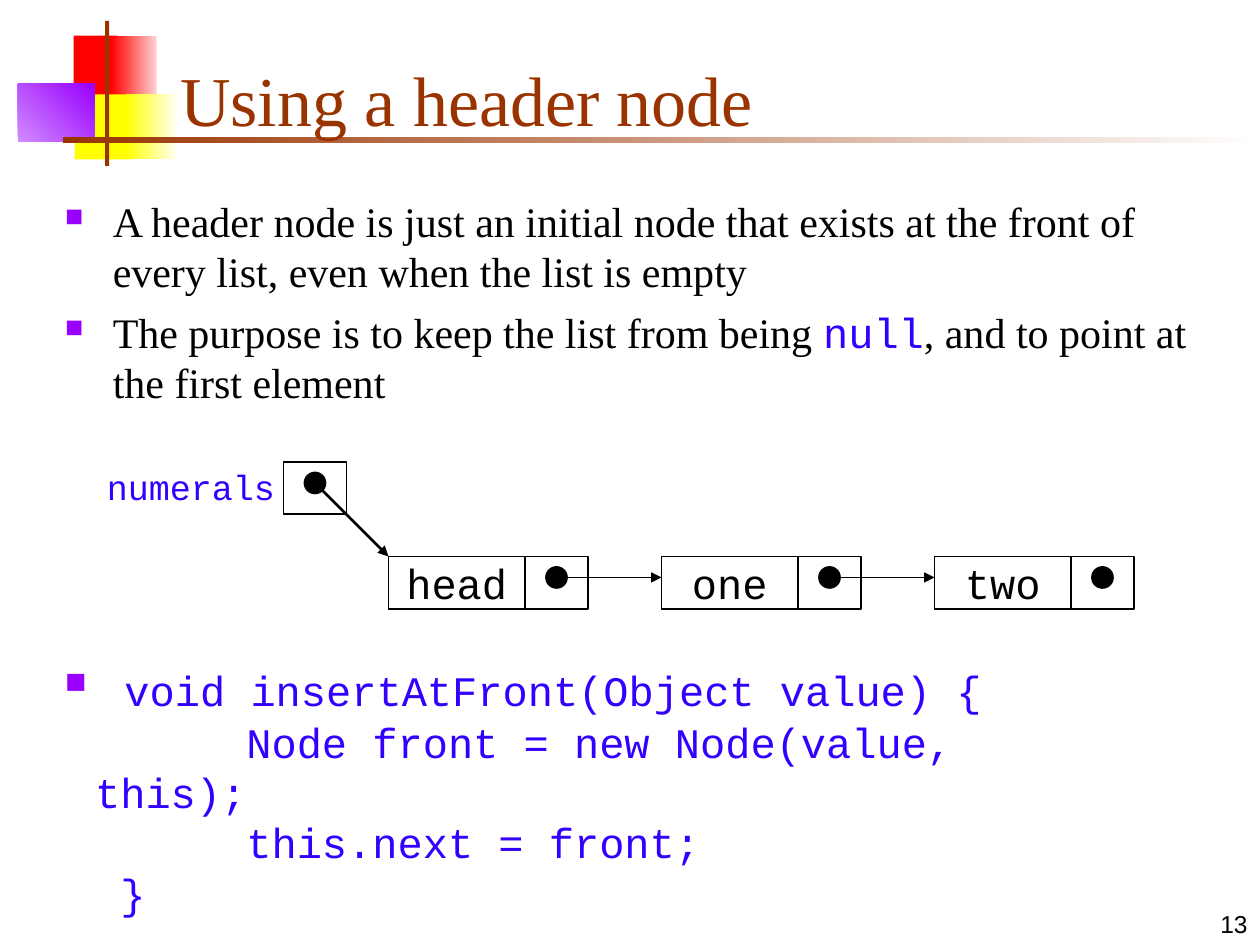
from lxml import etree
from pptx import Presentation, util as u
from pptx.dml.color import RGBColor
from pptx.enum import shapes, text
from pptx.oxml import ns

rgb = RGBColor.from_string
SERIF, MONO = "Times New Roman", "Courier New"
BLACK, BROWN, BLUE, PURPLE = "000000", "993300", "3300FF", "9900FF"

prs = Presentation()
prs.slide_width, prs.slide_height = u.Inches(10), u.Inches(7.5)
s = prs.slides.add_slide(prs.slide_layouts[6])
COL, ROW = prs.slide_width / 120, prs.slide_height / 90


def add_box(kind, x, y, w, h, fill=None, line=None):
    area = int(x * COL), int(y * ROW), int(w * COL), int(h * ROW)
    if kind is None:
        sp = s.shapes.add_textbox(*area)
        sp.text_frame.word_wrap = True
        return sp
    sp = s.shapes.add_shape(kind, *area)
    sp.shadow.inherit = False
    if fill:
        sp.fill.solid()
        sp.fill.fore_color.rgb = rgb(fill)
    else:
        sp.fill.background()
    if line:
        sp.line.color.rgb = rgb(line)
        sp.line.width = u.Pt(1)
    else:
        sp.line.fill.background()
    return sp


def style(r, size, name, color):
    r.font.size, r.font.name = u.Pt(size), name
    r.font.color.rgb = rgb(color)


RECT, OVAL = shapes.MSO_SHAPE.RECTANGLE, shapes.MSO_SHAPE.OVAL

for x, y, w, h, start, end, angle in [
    (7, 3.4, 4.2, 6.2, "FF0000", None, 0),
    (10.6, 3.4, 4.3, 6.2, "FF0000", "FFD1D1", 0),
    (7.1, 9, 5.5, 6.2, "FFFF00", None, 0),
    (12, 9, 4.8, 6.2, "FFFF00", "FFFFF0", 0),
    (1.7, 8, 7.3, 5.5, "D18BFF", PURPLE, 45),
    (10, 2, 0.4, 13.8, BROWN, None, 0),
    (6, 13, 114, 0.6, BROWN, "FFFFFF", 0),
]:
    sp = add_box(RECT, x, y, w, h, start)
    if end:
        sp.fill.gradient()
        sp.fill.gradient_angle = angle
        for stop, color in zip(sp.fill.gradient_stops, (start, end)):
            stop.color.rgb = rgb(color)

for x, y, w, h, words, size, name, color, anchor, align in [
    (95, 84, 25, 6, "13", 14, "Arial", BLACK, text.MSO_ANCHOR.BOTTOM, text.PP_ALIGN.RIGHT),
    (16, 3, 102.2, 11, "Using a header node", 40, SERIF, BROWN, text.MSO_ANCHOR.BOTTOM, text.PP_ALIGN.LEFT),
    (9, 43.7, 19, 5.3, "numerals", 20, MONO, BLUE, text.MSO_ANCHOR.TOP, text.PP_ALIGN.LEFT),
]:
    tf = add_box(None, x, y, w, h).text_frame
    tf.vertical_anchor = anchor
    p = tf.paragraphs[0]
    p.text, p.alignment = words, align
    style(p.runs[0], size, name, color)

CODE = """void insertAtFront(Object value) {
      Node front = new Node(value, this);
      this.next = front;
 }"""
bullet_boxes = [
    (5, 18, 112.5, 62.5, 0.38, [
        [("A header node is just an initial node that exists at the front of "
          "every list, even when the list is empty", 24, SERIF, BLACK)],
        [("The purpose is to keep the list from being ", 24, SERIF, BLACK),
         ("null", 24, MONO, BLUE),
         (", and to point at the first element", 24, SERIF, BLACK)],
    ]),
    (5, 62, 101, 26, 0.24, [
        [(" ", 28, MONO, BLUE)]
        + [(row, 24, MONO, BLUE) for row in CODE.splitlines()],
    ]),
]
for x, y, w, h, indent, paragraphs in bullet_boxes:
    tf = add_box(None, x, y, w, h).text_frame
    for i, runs in enumerate(paragraphs):
        p = tf.add_paragraph() if i else tf.paragraphs[0]
        pPr = p._p.get_or_add_pPr()
        pPr.set("marL", str(u.Inches(indent)))
        pPr.set("indent", str(-u.Inches(indent)))
        color = etree.SubElement(pPr, ns.qn("a:buClr"))
        etree.SubElement(color, ns.qn("a:srgbClr"), val=PURPLE)
        etree.SubElement(pPr, ns.qn("a:buSzPct"), val="60000")
        etree.SubElement(pPr, ns.qn("a:buChar"), char="■")
        if i:
            p.space_before = u.Pt(6)
        for j, (words, size, name, color) in enumerate(runs):
            if j > 1 and name == runs[0][2]  == MONO:
                p.add_line_break()
            r = p.add_run()
            r.text = words
            style(r, size, name, color)

add_box(RECT, 27, 44, 6, 5, line=BLACK)
add_box(OVAL, 29, 45, 2, 2, BLACK, BLACK)
arrows = [(30, 46, 37, 53, 1.5)]
names = ["head", "one", "two"]
for i, name in enumerate(names):
    x = 37 + 26 * i
    sp = add_box(RECT, x, 53, 13, 5, line=BLACK)
    tf = sp.text_frame
    tf.text = name
    tf.word_wrap = False
    tf.vertical_anchor = text.MSO_ANCHOR.MIDDLE
    p = tf.paragraphs[0]
    p.alignment = text.PP_ALIGN.CENTER
    style(p.runs[0], 24, MONO, BLACK)
    add_box(RECT, x + 13, 53, 6, 5, line=BLACK)
    add_box(OVAL, x + 15, 54, 2, 2, BLACK, BLACK)
    if i < len(names) - 1:
        arrows.append((x + 16, 55, x + 26, 55, 1))

for x1, y1, x2, y2, width in arrows:
    c = s.shapes.add_connector(
        shapes.MSO_CONNECTOR.STRAIGHT,
        int(x1 * COL), int(y1 * ROW), int(x2 * COL), int(y2 * ROW))
    c.line.color.rgb = rgb(BLACK)
    c.line.width = u.Pt(width)
    etree.SubElement(c.line._get_or_add_ln(), ns.qn("a:tailEnd"), type="triangle")
    etree.SubElement(c._element.spPr, ns.qn("a:effectLst"))

prs.save("out.pptx")
